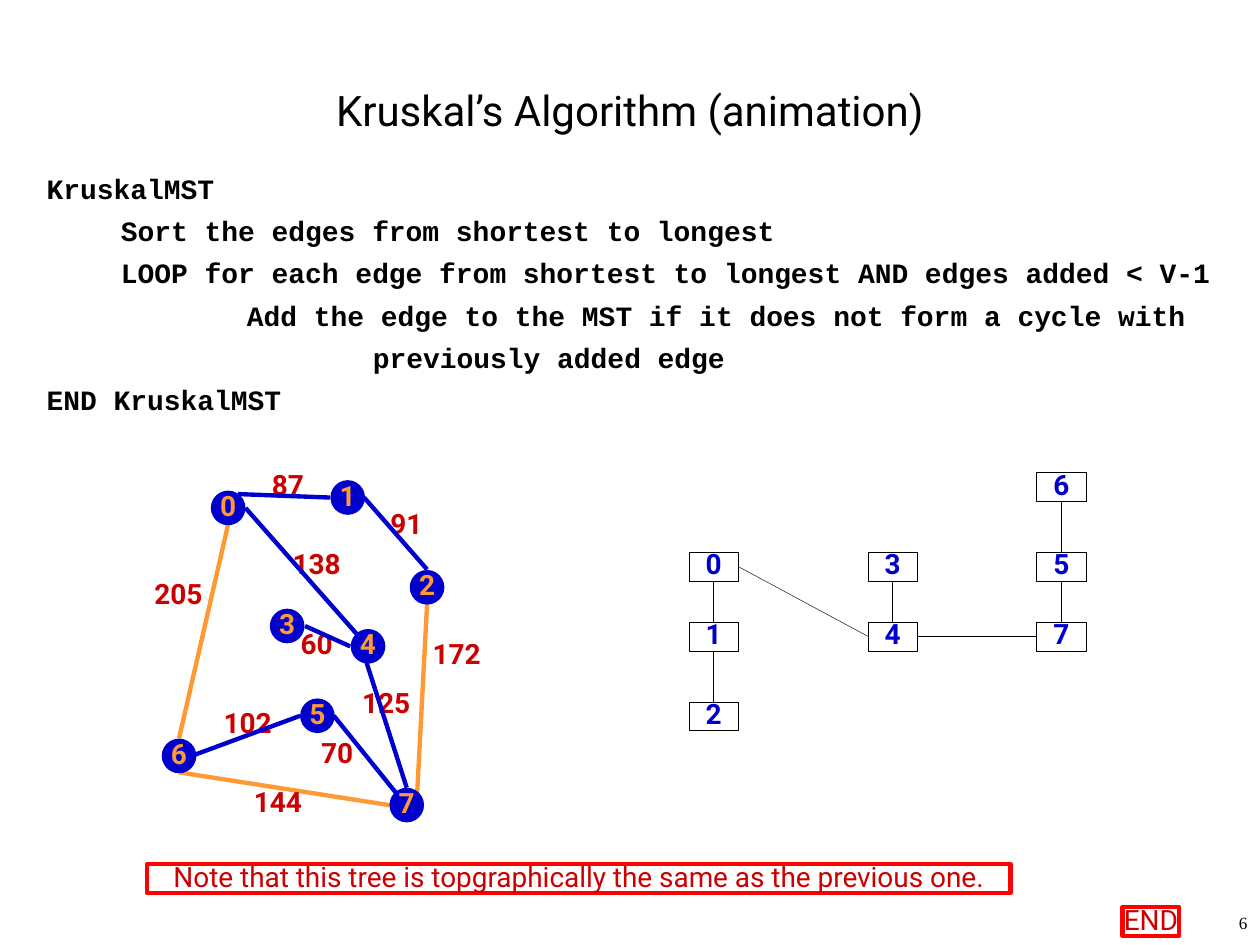
from lxml.etree import SubElement
from pptx import Presentation
from pptx.dml.color import RGBColor
from pptx.enum.shapes import MSO_CONNECTOR, MSO_SHAPE
from pptx.enum.text import MSO_ANCHOR, PP_ALIGN
from pptx.oxml.ns import qn
from pptx.util import Cm, Pt

BLACK = RGBColor(0x00, 0x00, 0x00)
BLUE = RGBColor(0x00, 0x00, 0xCC)
ORANGE = RGBColor(0xFF, 0x99, 0x33)
DARK_RED = RGBColor(0xCC, 0x00, 0x00)
RED = RGBColor(0xFF, 0x00, 0x00)

NODE_SIZE = 0.61
LABEL_WIDTH, LABEL_HEIGHT = 0.99, 0.58
TOP, LEFT, BOTTOM, RIGHT = range(4)

# Indent in cm and text of each pseudocode line
PSEUDOCODE = [
    (0, "KruskalMST"),
    (1.5, "Sort the edges from shortest to longest"),
    (1.5, "LOOP for each edge from shortest to longest AND edges added < V-1"),
    (4.04, "Add the edge to the MST if it does not form a cycle with"),
    (6.58, "previously added edge"),
    (0, "END KruskalMST"),
]

# Centre of each graph node, in node order
NODE_CENTRES = [
    (4.6, 10.24), (7.01, 10.03), (8.61, 11.84), (5.79, 12.62),
    (7.42, 13.03), (6.4, 14.43), (3.61, 15.24), (8.2, 16.23),
]

# Weight, corner of the weight label, start and end of each edge
TREE_EDGES = [
    ("87", (5.31, 9.53), (4.8, 9.96), (6.65, 10.03)),
    ("91", (7.7, 10.31), (7.34, 10.03), (8.61, 11.48)),
    ("138", (5.89, 11.13), (4.95, 10.24), (7.19, 12.78)),
    ("60", (5.89, 12.73), (6.15, 12.62), (7.06, 13.03)),
    ("125", (7.29, 13.92), (7.39, 13.36), (8.2, 15.88)),
    ("70", (6.3, 14.94), (7.98, 15.98), (6.73, 14.43)),
    ("102", (4.5, 14.33), (6.05, 14.43), (3.94, 15.21)),
]
REJECTED_EDGES = [
    ("205", (3.1, 11.73), (4.6, 10.57), (3.61, 14.88)),
    ("144", (5.11, 15.93), (3.61, 15.57), (7.85, 16.23)),
    ("172", (8.71, 12.93), (8.61, 12.17), (8.41, 15.98)),
]

TREE_COLUMNS = [13.89, 17.5, 20.9]
TREE_ROWS = [9.53, 11.13, 12.54, 14.15]
# Column and row of each tree box, in node order
TREE_CELLS = [(0, 1), (0, 2), (0, 3), (1, 1), (1, 2), (2, 1), (2, 0), (2, 2)]
TREE_LINKS = [
    (0, BOTTOM, 1, TOP), (1, BOTTOM, 2, TOP), (0, RIGHT, 4, LEFT),
    (4, TOP, 3, BOTTOM), (4, RIGHT, 7, LEFT), (5, BOTTOM, 7, TOP),
    (5, TOP, 6, BOTTOM),
]


def format_paragraph(paragraph, size, color, bold=False, font="Roboto",
                     align=PP_ALIGN.CENTER, spacing=None):
    paragraph.alignment = align
    paragraph.line_spacing = spacing
    for run in paragraph.runs:
        run.font.name = font
        run.font.size = Pt(size)
        run.font.bold = bold
        run.font.color.rgb = color


def fill_tight_frame(frame, text, color, bold, anchor, wrap):
    """Put one line of 16 pt text in a frame without margins."""
    frame.margin_left = frame.margin_right = 0
    frame.margin_top = frame.margin_bottom = 0
    frame.vertical_anchor = anchor
    frame.word_wrap = wrap
    frame.text = text
    format_paragraph(frame.paragraphs[0], 16, color, bold, spacing=0.85)


def add_text(slide, left, top, width, height):
    box = slide.shapes.add_textbox(Cm(left), Cm(top), Cm(width), Cm(height))
    box.text_frame.word_wrap = True
    return box.text_frame


def add_outlined(slide, preset, left, top, width, height, line_color,
                 line_width, fill=None):
    shape = slide.shapes.add_shape(
        preset, Cm(left), Cm(top), Cm(width), Cm(height))
    shape.shadow.inherit = False
    if fill is None:
        shape.fill.background()
    else:
        shape.fill.solid()
        shape.fill.fore_color.rgb = fill
    shape.line.color.rgb = line_color
    shape.line.width = Pt(line_width)
    return shape


def add_line(slide, start, end, color, width):
    line = slide.shapes.add_connector(
        MSO_CONNECTOR.STRAIGHT, *map(Cm, start + end))
    line.line.color.rgb = color
    line.line.width = Pt(width)
    SubElement(line._element.spPr, qn("a:effectLst"))
    return line


def add_pseudocode(slide):
    frame = add_text(slide, 0.69, 3.33, 24.2, 6.4)
    frame.text = "\n".join(text for _, text in PSEUDOCODE)
    for paragraph, (indent, _) in zip(frame.paragraphs, PSEUDOCODE):
        format_paragraph(paragraph, 16, BLACK, True, "Courier New",
                         PP_ALIGN.LEFT)
        paragraph.space_before = Pt(5)
        paragraph._p.get_or_add_pPr().set("marL", str(Cm(indent)))


def add_node(slide, name, center):
    left, top = (value - NODE_SIZE / 2 for value in center)
    node = add_outlined(slide, MSO_SHAPE.OVAL, left, top,
                        NODE_SIZE, NODE_SIZE, BLUE, 2.5, BLUE)
    fill_tight_frame(node.text_frame, name, ORANGE, True,
                     MSO_ANCHOR.MIDDLE, False)


def add_graph(slide):
    """Draw the rejected edges below the nodes and the tree edges above."""
    for _, _, start, end in REJECTED_EDGES:
        add_line(slide, start, end, ORANGE, 2.5)
    for weight, corner, _, _ in TREE_EDGES + REJECTED_EDGES:
        label = add_text(slide, *corner, LABEL_WIDTH, LABEL_HEIGHT)
        fill_tight_frame(label, weight, DARK_RED, True, MSO_ANCHOR.TOP, True)
    for number, center in enumerate(NODE_CENTRES):
        add_node(slide, str(number), center)
    for _, _, start, end in TREE_EDGES:
        add_line(slide, start, end, BLUE, 2.5)


def add_tree(slide):
    boxes = []
    for number, (column, row) in enumerate(TREE_CELLS):
        box = add_outlined(slide, MSO_SHAPE.RECTANGLE, TREE_COLUMNS[column],
                           TREE_ROWS[row], LABEL_WIDTH, LABEL_HEIGHT,
                           BLACK, 0.25)
        fill_tight_frame(box.text_frame, str(number), BLUE, True,
                         MSO_ANCHOR.TOP, True)
        boxes.append(box)
    for parent, parent_side, child, child_side in TREE_LINKS:
        link = add_line(slide, (0, 0), (0, 0), BLACK, 0.25)
        link.begin_connect(boxes[parent], parent_side)
        link.end_connect(boxes[child], child_side)


def add_note(slide, text, left, top, width):
    note = add_outlined(slide, MSO_SHAPE.RECTANGLE, left, top, width,
                        LABEL_HEIGHT, RED, 2.5)
    fill_tight_frame(note.text_frame, text, DARK_RED, False,
                     MSO_ANCHOR.MIDDLE, False)


def main():
    presentation = Presentation()
    presentation.slide_width = Cm(25.4)
    presentation.slide_height = Cm(19.05)
    slide = presentation.slides.add_slide(presentation.slide_layouts[6])

    page_number = add_text(slide, 23.16, 18.34, 2.24, 0.71)
    page_number.text = "6"
    format_paragraph(page_number.paragraphs[0], 9.8, BLACK,
                     font="Times New Roman", align=PP_ALIGN.RIGHT, spacing=0.8)

    title = add_text(slide, 1.27, 1.52, 22.86, 1.4)
    title.vertical_anchor = MSO_ANCHOR.MIDDLE
    title.text = "Kruskal’s Algorithm (animation)"
    format_paragraph(title.paragraphs[0], 24, BLACK)

    add_pseudocode(slide)
    add_graph(slide)
    add_tree(slide)
    add_note(slide, "END", 22.63, 18.29, 1.14)
    add_note(slide, "Note that this tree is topgraphically the same as the "
             "previous one.", 2.97, 17.42, 17.4)
    presentation.save("out.pptx")


if __name__ == "__main__":
    main()
